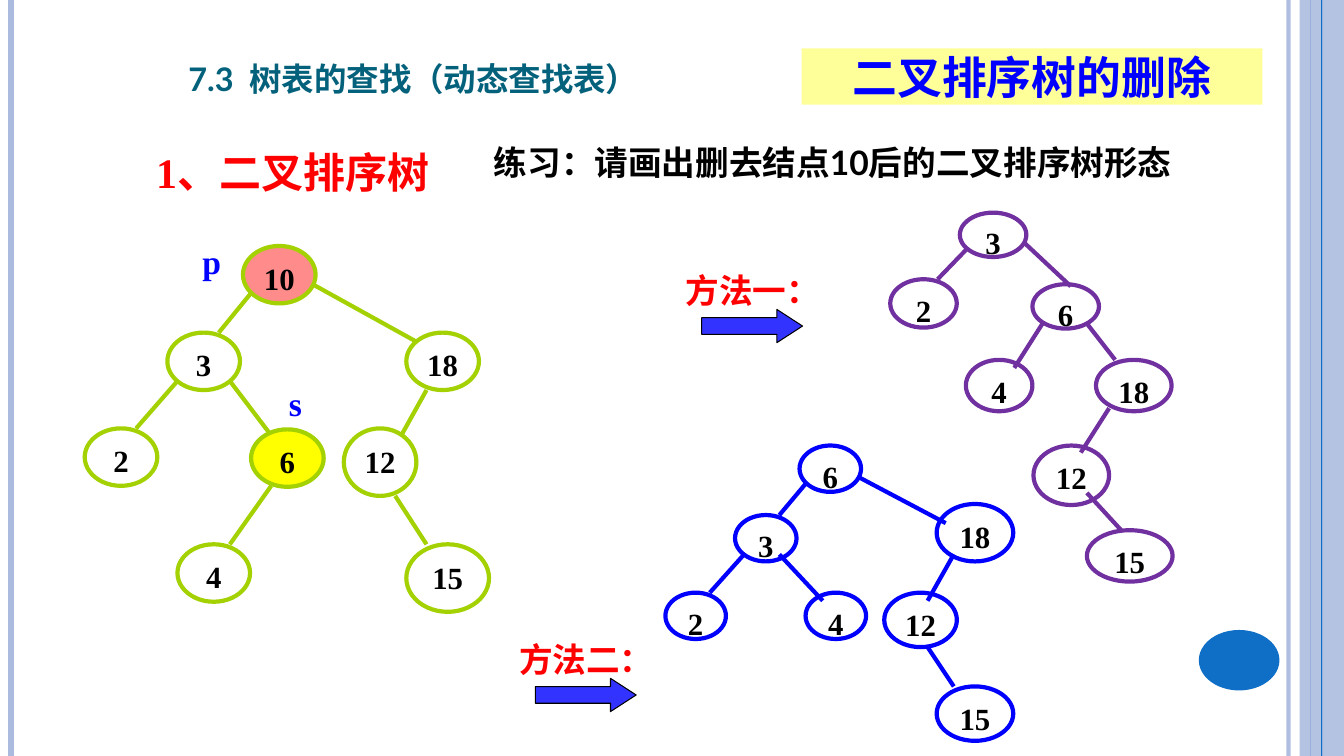
import pptx
import pptx.util
from pptx.dml.color import RGBColor
from pptx.enum.shapes import MSO_CONNECTOR, MSO_SHAPE
from pptx.enum.text import MSO_ANCHOR, PP_ALIGN
from pptx.oxml.ns import qn
from lxml import etree

Inches, Pt = pptx.util.Inches, pptx.util.Pt
SERIF, SANS, CJK = "Times New Roman", "Lato", "Noto Sans CJK SC"
RED, BLUE, BLACK = "FF0000", "0000FF", "000000"

# Side stripes: x, colour, width in points, opacity in percent
STRIPES = [(12.78, "ABBBDF", 3, 93), (0.11, "ABBBDF", 4.5, 100),
           (13.11, "0F6FC6", 1.5, 100), (13, "0F6FC6", 0.75, 100)]

# Trees: nodes are label -> (left, top, width, height),
# edges are (x1, y1, x2, y2) from parent to child
TREES = [
    {"color": "A4D101",
     "fills": {"10": "FF8B8B", "6": "FFFF00"},
     "nodes": {"10": (2.41, 2.44, 0.72, 0.57), "3": (1.66, 3.3, 0.72, 0.57),
               "2": (0.84, 4.25, 0.72, 0.57), "4": (1.76, 5.4, 0.72, 0.57),
               "18": (4.03, 3.3, 0.72, 0.57), "12": (3.41, 4.25, 0.72, 0.67),
               "15": (4.03, 5.4, 0.82, 0.67), "6": (2.49, 4.26, 0.72, 0.57)},
     "edges": [(2.48, 2.92, 2.17, 3.3), (1.76, 3.78, 1.35, 4.25),
               (2.28, 3.78, 2.69, 4.32), (2.69, 4.82, 2.28, 5.4),
               (3.1, 2.82, 4.13, 3.39), (4.23, 3.87, 3.98, 4.32),
               (3.92, 4.92, 4.23, 5.4)]},
    {"color": BLUE,
     "fills": {},
     "nodes": {"6": (7.93, 4.42, 0.61, 0.46), "3": (7.29, 5.11, 0.61, 0.46),
               "4": (7.99, 5.88, 0.6, 0.46), "2": (6.6, 5.88, 0.6, 0.46),
               "18": (9.29, 5, 0.76, 0.57), "12": (8.77, 5.88, 0.72, 0.54),
               "15": (9.29, 6.81, 0.76, 0.54)},
     "edges": [(7.99, 4.8, 7.73, 5.11), (7.38, 5.5, 7.04, 5.88),
               (7.73, 5.5, 8.16, 5.96), (8.51, 4.73, 9.38, 5.19),
               (9.46, 5.5, 9.2, 5.96), (9.2, 6.42, 9.46, 6.81)]},
    {"color": "7030A0",
     "fills": {},
     "nodes": {"3": (9.52, 2.11, 0.66, 0.44), "2": (8.83, 2.77, 0.66, 0.48),
               "6": (10.24, 2.82, 0.66, 0.44), "4": (9.58, 3.57, 0.66, 0.51),
               "18": (10.87, 3.57, 0.75, 0.51), "12": (10.25, 4.42, 0.75, 0.59),
               "15": (10.78, 5.26, 0.85, 0.51)},
     "edges": [(9.58, 2.48, 9.3, 2.77), (10.15, 2.4, 10.62, 2.84),
               (10.34, 3.21, 10.06, 3.65), (10.78, 3.21, 11.06, 3.57),
               (11, 4.05, 10.72, 4.49), (10.78, 4.89, 11.12, 5.26)]},
]

# Method captions: text, left, top; each has an arrow below
METHODS = [("方法一：", 6.68, 2.63), ("方法二：", 5.03, 6.29)]
POINTERS = [("p", 1.82, 2.34), ("s", 2.65, 3.75)]

deck = pptx.Presentation()
deck.slide_width, deck.slide_height = Inches(13.33), Inches(7.5)
page = deck.slides.add_slide(deck.slide_layouts[6])


def rgb(value):
    return RGBColor.from_string(value)


def set_opacity(shape, percent):
    color = shape._element.spPr.find(".//" + qn("a:srgbClr"))
    etree.SubElement(color, qn("a:alpha")).set("val", str(percent * 1000))


def add_line(x1, y1, x2, y2, color, width):
    line = page.shapes.add_connector(
        MSO_CONNECTOR.STRAIGHT, Inches(x1), Inches(y1), Inches(x2), Inches(y2))
    line.line.color.rgb = rgb(color)
    line.line.width = Pt(width)
    etree.SubElement(line._element.spPr, qn("a:effectLst"))
    return line


def add_shape(kind, place, fill=None, outline=None, width=3):
    shape = page.shapes.add_shape(kind, *map(Inches, place))
    shape.shadow.inherit = False
    if fill:
        shape.fill.solid()
        shape.fill.fore_color.rgb = rgb(fill)
    else:
        shape.fill.background()
    if outline:
        shape.line.color.rgb = rgb(outline)
        shape.line.width = Pt(width)
    else:
        shape.line.fill.background()
    return shape


def write(box, text, size, font, color, align=PP_ALIGN.CENTER,
          anchor=MSO_ANCHOR.TOP, wrap=True):
    frame = box.text_frame
    frame.word_wrap = wrap
    frame.vertical_anchor = anchor
    para = frame.paragraphs[0]
    para.text = text
    para.alignment = align
    para.font.size = Pt(size)
    para.font.bold = True
    para.font.name = font
    para.font.color.rgb = rgb(color)
    etree.SubElement(para.font._element, qn("a:ea")).set("typeface", CJK)
    return para


def add_text(place, *style, **layout):
    return write(page.shapes.add_textbox(*map(Inches, place)), *style, **layout)


# Side stripes and page-number disc
for x, color, width, opacity in STRIPES:
    stripe = add_line(x, 0, x, 7.5, color, width)
    if opacity < 100:
        set_opacity(stripe, opacity)
band = add_shape(MSO_SHAPE.RECTANGLE, (12.89, 0, 0.44, 7.5), "ABBBDF")
set_opacity(band, 87)
add_line(*(13.11, 0, 13.11, 7.5), "0F6FC6", 0.75)
add_shape(MSO_SHAPE.OVAL, (11.89, 6.25, 0.8, 0.6), "0F6FC6")

# Headings
title = add_text((1.77, 0.43, 6.31, 0.61), "7.3  树表的查找（动态查找表）", 29, SANS,
                 "04617B", align=PP_ALIGN.LEFT, anchor=MSO_ANCHOR.BOTTOM)
title.font._element.set("cap", "small")

section = add_text((1.45, 1.15, 5.22, 0.86), "1、二叉排序树", 30, SERIF, RED,
                   align=PP_ALIGN.LEFT)
section.line_spacing = 1.5
section.space_before = Pt(3)

banner = add_shape(MSO_SHAPE.RECTANGLE, (7.95, 0.48, 4.57, 0.56), "FFFF99")
write(banner, "二叉排序树的删除", 32, CJK, BLUE, anchor=MSO_ANCHOR.MIDDLE)

exercise = add_text((4.8, 1.36, 7.21, 0.45), "练习：请画出删去结点10后的二叉排序树形态",
                    24, SANS, BLACK, align=PP_ALIGN.LEFT)
exercise.space_before = Pt(6)

# Trees
for tree in TREES:
    for edge in tree["edges"]:
        add_line(*edge, tree["color"], 3)
    for label, place in tree["nodes"].items():
        node = add_shape(MSO_SHAPE.OVAL, place, tree["fills"].get(label), tree["color"])
        write(node, label, 22, SERIF, BLACK, wrap=False)

# Methods and pointer names
for caption, left, top in METHODS:
    arrow = add_shape(MSO_SHAPE.RIGHT_ARROW, (left + 0.28, top + 0.44, 1, 0.33),
                      "3333FF", BLACK, 0.75)
    arrow.adjustments[0], arrow.adjustments[1] = 0.5, 0.77
    add_text((left, top, 1.57, 0.5), caption, 24, CJK, RED)
for name, left, top in POINTERS:
    add_text((left, top, 0.56, 0.5), name, 24, SERIF, BLUE)

deck.save("out.pptx")
